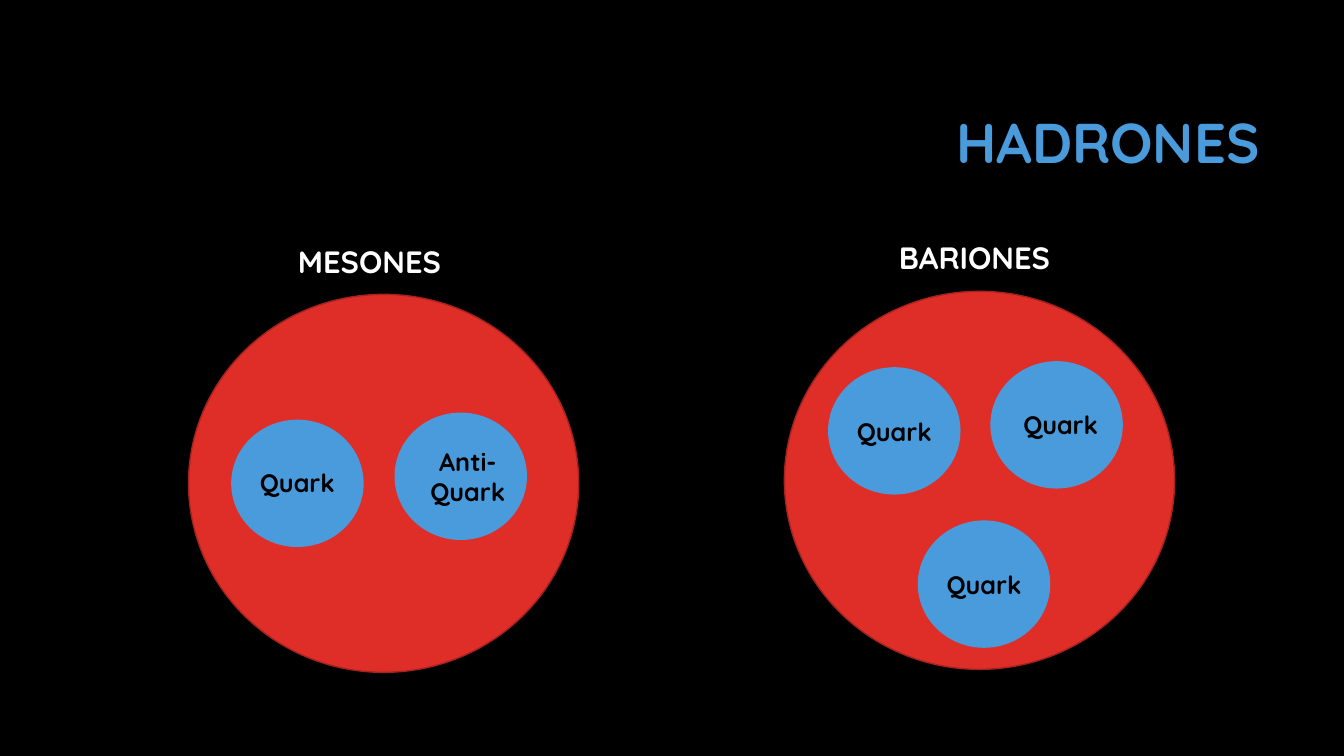
from typing import NamedTuple

from pptx import Presentation
from pptx.dml.color import RGBColor
from pptx.enum.shapes import MSO_SHAPE as Shape
from pptx.enum.text import MSO_ANCHOR as Anchor, PP_ALIGN as Align
from pptx.slide import Slide
from pptx.util import Inches, Pt

BLACK = RGBColor(0x00, 0x00, 0x00)
WHITE = RGBColor(0xFF, 0xFF, 0xFF)
BLUE = RGBColor(0x4A, 0x9B, 0xDC)
RED = RGBColor(0xDF, 0x2E, 0x28)
DARK = RGBColor(0xA5, 0x22, 0x1E)


class Box(NamedTuple):
    left: float
    top: float
    width: float
    height: float


class Label(NamedTuple):
    text: str
    box: Box
    size: int
    color: RGBColor
    align: Align = Align.CENTER
    anchor: Anchor = Anchor.TOP
    lead: float = 1.0


class Quark(NamedTuple):
    left: float
    top: float
    text_left: float
    text_top: float
    text: str = "Quark"
    align: Align = Align.LEFT
    text_height: float = 0.4


class Hadron(NamedTuple):
    left: float
    top: float
    title: Label
    quarks: list[Quark]


HEAD = Label("HADRONES", Box(3.17, 0.74, 9.42, 1.41), 40, BLUE,
             Align.RIGHT, Anchor.MIDDLE, 0.9)
HADRONS = [
    Hadron(1.87, 2.92,
           Label("MESONES", Box(0.75, 2.4, 5.83, 0.52), 22, WHITE, lead=0.9),
           [Quark(2.3, 4.17, 2.48, 4.59),
            Quark(3.92, 4.1, 4.1, 4.38, "Anti-Quark", Align.CENTER, 0.71)]),
    Hadron(7.78, 2.89,
           Label("BARIONES", Box(6.75, 2.32, 5.83, 0.52), 22, WHITE),
           [Quark(8.22, 3.65, 8.4, 4.08),
            Quark(9.83, 3.59, 9.98, 4.01, align=Align.CENTER),
            Quark(9.11, 5.17, 9.29, 5.6)]),
]


def write(slide: Slide, label: Label) -> None:
    frame = slide.shapes.add_textbox(*map(Inches, label.box)).text_frame
    frame.word_wrap = True
    frame.vertical_anchor = label.anchor
    line = frame.paragraphs[0]
    line.text = label.text
    line.alignment = label.align
    line.line_spacing = label.lead
    font = line.font
    font.name = "Quicksand"
    font.size = Pt(label.size)
    font.bold = True
    font.color.rgb = label.color


def disc(slide: Slide, box: Box, fill: RGBColor, edge: RGBColor) -> None:
    oval = slide.shapes.add_shape(Shape.OVAL, *map(Inches, box))
    oval.shadow.inherit = False
    oval.fill.solid()
    oval.fill.fore_color.rgb = fill
    oval.line.color.rgb = edge
    oval.line.width = Pt(1)


def draw(slide: Slide, hadron: Hadron) -> None:
    write(slide, hadron.title)
    disc(slide, Box(hadron.left, hadron.top, 3.87, 3.75), RED, DARK)
    for quark in hadron.quarks:
        disc(slide, Box(quark.left, quark.top, 1.3, 1.25), BLUE, BLUE)
        area = Box(quark.text_left, quark.text_top, 1.08, quark.text_height)
        write(slide, Label(quark.text, area, 18, BLACK, quark.align))


def main() -> None:
    deck = Presentation()
    deck.slide_width = Inches(13.33)
    deck.slide_height = Inches(7.5)
    slide = deck.slides.add_slide(deck.slide_layouts[6])
    slide.background.fill.solid()
    slide.background.fill.fore_color.rgb = BLACK
    write(slide, HEAD)
    for hadron in HADRONS:
        draw(slide, hadron)
    deck.save("out.pptx")


if __name__ == "__main__":
    main()
